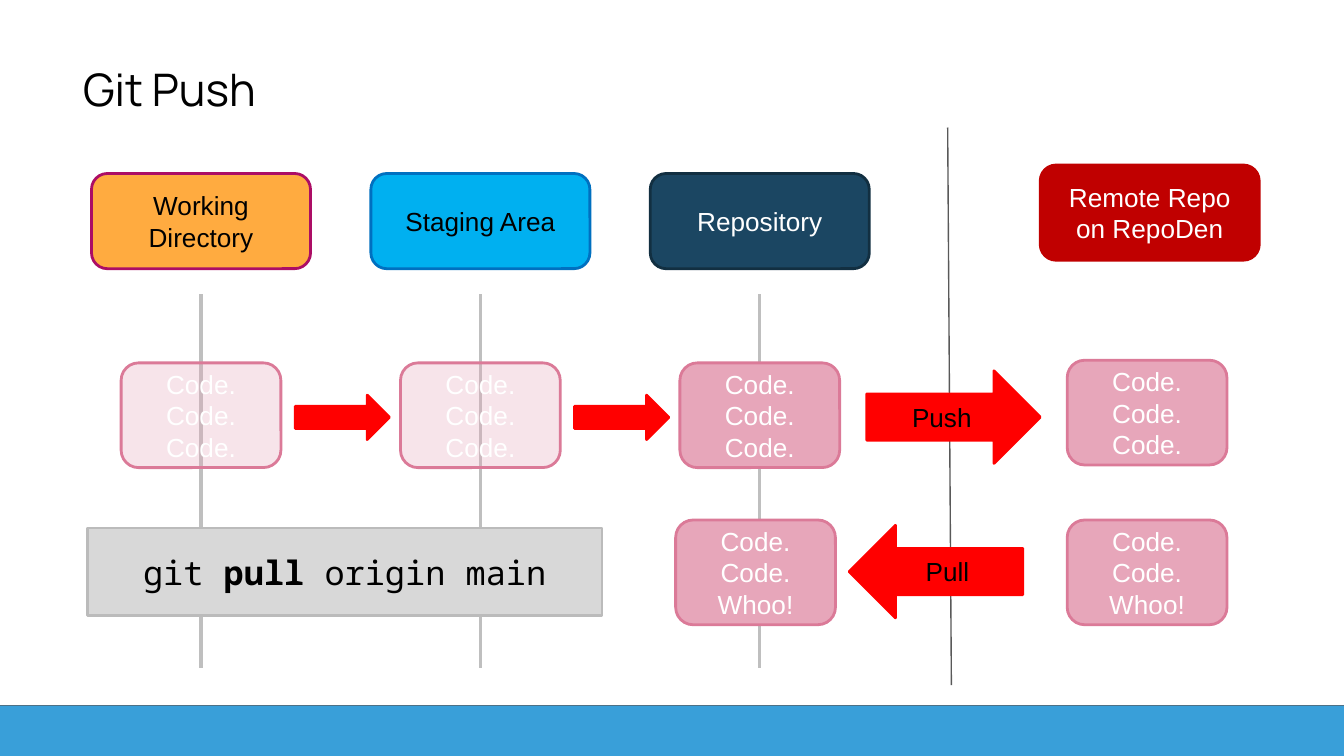
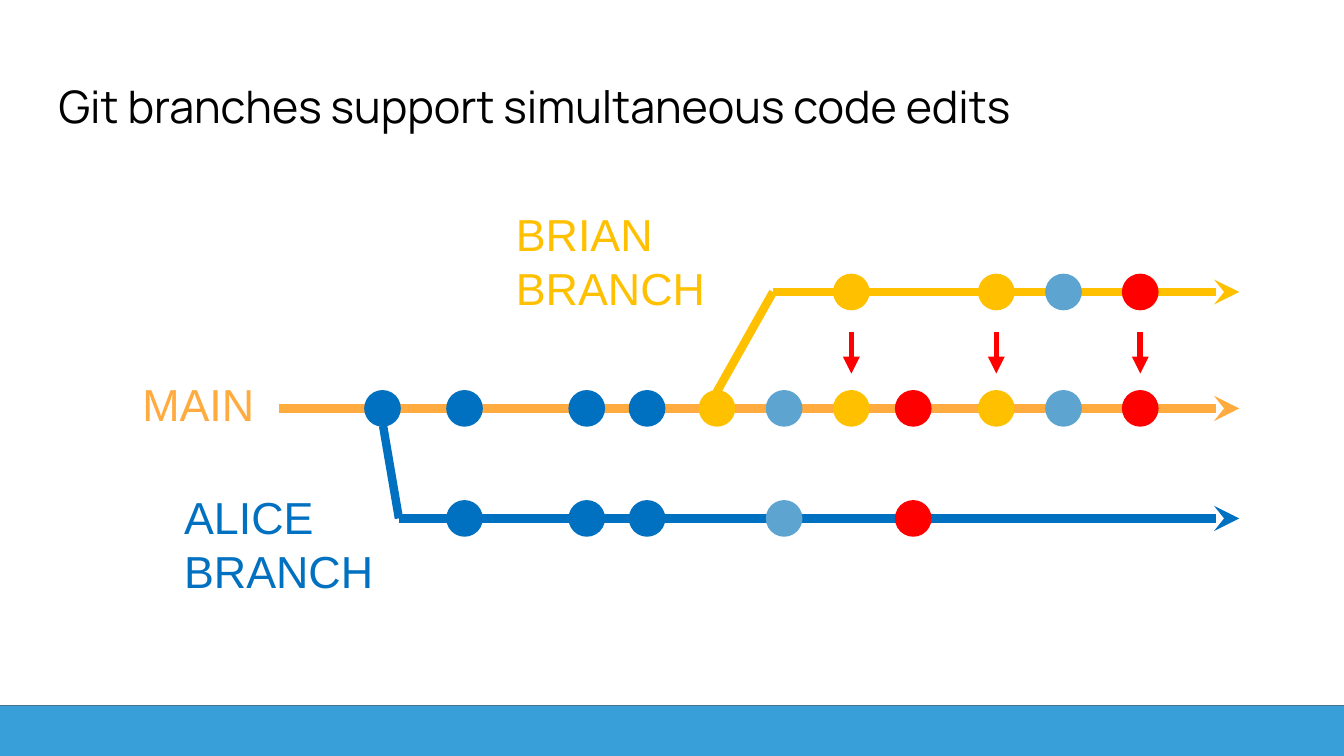
from collections import namedtuple
from itertools import product

from lxml.etree import SubElement
from pptx import Presentation
from pptx.dml.color import RGBColor
from pptx.enum.shapes import MSO_CONNECTOR as CONN, MSO_SHAPE as SHAPE
from pptx.enum.text import MSO_ANCHOR as ANCHOR, PP_ALIGN as ALIGN
from pptx.oxml.ns import qn
from pptx.util import Cm, Pt

Box = namedtuple("Box", "x y w h")  # centimetres

COLORS = {
    "black": "000000", "white": "FFFFFF", "red": "FF0000", "crimson": "C00000",
    "band": "399FD9", "band_base": "EEEEEE", "dark_gray": "595959",
    "rail": "BFBFBF", "command": "D8D8D8", "command_line": "BBBBBB",
    "orange": "FFAB40", "magenta": "AC0D65", "sky": "00B0F0", "blue": "0070C0",
    "navy": "1B4662", "navy_line": "122F41", "pink": "E7A6BA",
    "pink_line": "DB7A98", "yellow": "FFC000", "light_blue": "5EA4D1",
}
TITLE_FONT, BODY_FONT, CODE_FONT = "Manrope", "Arial", "Noto Sans Mono"

STAGE_W, STAGE_H, STAGE_STEP = 4.14, 1.8, 5.28
CODE_W, CODE_H = 3.02, 1.98
DOT = 0.64

STAGES = [
    ("Working Directory", "orange", "magenta", "black"),
    ("Staging Area", "sky", "blue", "black"),
    ("Repository", "navy", "navy_line", "white"),
]
OLD_CODE, NEW_CODE = "Code. Code. Code.", "Code. Code. Whoo!"

# Commits along the time line: x, colour, branches that carry them
COMMITS = [
    (4.79, "blue", ["main"]),
    (6.34, "blue", ["main", "alice"]),
    (8.65, "blue", ["main", "alice"]),
    (9.79, "blue", ["main", "alice"]),
    (11.11, "yellow", ["main"]),
    (12.38, "light_blue", ["main", "alice"]),
    (13.65, "yellow", ["main", "brian"]),
    (14.82, "red", ["main", "alice"]),
    (16.39, "yellow", ["main", "brian"]),
    (17.66, "light_blue", ["main", "brian"]),
    (19.11, "red", ["main", "brian"]),
]
# Branches: row y, start x, colour, label, label box
BRANCHES = {
    "brian": (1.74, 12.17, "yellow", "BRIAN BRANCH", Box(7.06, 0, 4.37, 2.31)),
    "main": (3.94, 2.84, "orange", "MAIN", Box(0, 3.21, 2.82, 1.27)),
    "alice": (6.02, 5.1, "blue", "ALICE BRANCH", Box(0.79, 5.36, 4.37, 2.31)),
}


def rgb(name):
    return RGBColor.from_string(COLORS[name])


def inside(box, x, y, w, h):
    return Box(box.x + x, box.y + y, w, h)


def write(sp, text, size, color, font=BODY_FONT, align=ALIGN.LEFT, bold=None):
    """Fill sp with one paragraph, setting the word given as bold in bold."""
    tf = sp.text_frame
    tf.word_wrap = True
    p = tf.paragraphs[0]
    p.alignment = align
    p.font.name, p.font.size = font, Pt(size)
    p.font.color.rgb = rgb(color)
    if not bold:
        p.add_run().text = text
        return
    before, after = text.split(bold)
    for part in (before, bold, after):
        r = p.add_run()
        r.text = part
        r.font.bold = part == bold


def add_text(s, box, text, color, font=BODY_FONT):
    sp = s.shapes.add_textbox(*map(Cm, box))
    write(sp, text, 24, color, font)
    return sp


def add_shape(s, kind, box, fill, line=None, width=1.5, opacity=100):
    sp = s.shapes.add_shape(kind, *map(Cm, box))
    sp.shadow.inherit = False
    sp.fill.solid()
    sp.fill.fore_color.rgb = rgb(fill)
    if opacity < 100:
        color = sp._element.spPr.find(f"{qn('a:solidFill')}/{qn('a:srgbClr')}")
        SubElement(color, qn("a:alpha"), val=str(opacity * 1000))
    if line:
        sp.line.color.rgb = rgb(line)
        sp.line.width = Pt(width)
    else:
        sp.line.fill.background()
    return sp


def add_block(s, kind, box, text, fill, line, color, opacity=100,
              size=14, font=BODY_FONT, bold=None):
    """Add a shape with centred text."""
    sp = add_shape(s, kind, box, fill, line, opacity=opacity)
    sp.text_frame.vertical_anchor = ANCHOR.MIDDLE
    write(sp, text, size, color, font, ALIGN.CENTER, bold)


def add_line(s, x1, y1, x2, y2, color, width, arrow=None):
    c = s.shapes.add_connector(CONN.STRAIGHT, *map(Cm, (x1, y1, x2, y2)))
    c.line.color.rgb = rgb(color)
    c.line.width = Pt(width)
    spPr = c._element.spPr
    if arrow:
        SubElement(spPr.find(qn("a:ln")), qn("a:tailEnd"), type=arrow)
    SubElement(spPr, qn("a:effectLst"))


def new_slide(prs, title, title_box):
    """Add a blank slide with the shared bottom band and title style."""
    s = prs.slides.add_slide(prs.slide_layouts[6])
    band = Box(0, 13.34, 25.4, 0.95)
    add_shape(s, SHAPE.RECTANGLE, band, "band_base", "dark_gray", 0.75)
    add_shape(s, SHAPE.RECTANGLE, band, "band")
    tf = add_text(s, title_box, title, "black", TITLE_FONT).text_frame
    tf.margin_top = tf.margin_bottom = Cm(0.25)
    return s


def stage(s, box, text, fill, line, color):
    add_block(s, SHAPE.ROUNDED_RECTANGLE, box, text, fill, line, color)


def code(s, cx, y, text, opacity=100):
    """Add a code block centred on cx."""
    add_block(s, SHAPE.ROUNDED_RECTANGLE, Box(cx - CODE_W / 2, y, CODE_W, CODE_H),
              text, "pink", "pink_line", "white", opacity)


def local_side(s, box):
    centers = [box.x + STAGE_W / 2 + i * STAGE_STEP for i in range(len(STAGES))]
    for cx, look in zip(centers, STAGES):
        add_line(s, cx, box.y + 2.28, cx, box.y + box.h, "rail", 1.75)
        stage(s, Box(cx - STAGE_W / 2, box.y, STAGE_W, STAGE_H), *look)
    *passed, repo = centers
    for cx in passed:
        code(s, cx, box.y + 3.58, OLD_CODE, opacity=30)
        add_shape(s, SHAPE.RIGHT_ARROW, Box(cx + 1.78, box.y + 4.19, 1.78, 0.84),
                  "red", "red")
    code(s, repo, box.y + 3.58, OLD_CODE)
    code(s, repo - 0.08, box.y + 6.55, NEW_CODE)
    add_block(s, SHAPE.RECTANGLE, inside(box, -0.08, 6.7, 9.73, 1.65),
              "git pull origin main", "command", "command_line", "black",
              size=18, font=CODE_FONT, bold="pull")


def remote_side(s, box):
    stage(s, inside(box, box.w - STAGE_W, 0.71, STAGE_W, STAGE_H),
          "Remote Repo on RepoDen", "crimson", "crimson", "white")
    add_line(s, box.x + 1.86, box.y, box.x + 1.93, box.y + box.h,
             "dark_gray", 0.75)
    cx = box.x + box.w - STAGE_W / 2 - 0.05
    code(s, cx, box.y + 4.4, OLD_CODE)
    code(s, cx, box.y + 7.42, NEW_CODE)
    for kind, x, y, text in [(SHAPE.RIGHT_ARROW, 0.33, 4.6, "Push"),
                             (SHAPE.LEFT_ARROW, 0, 7.52, "Pull")]:
        add_block(s, kind, inside(box, x, y, 3.28, 1.75), text,
                  "red", "red", "black")


def branch_graph(s, box):
    rows = {name: box.y + row[0] for name, row in BRANCHES.items()}
    for name, (_, start, color, label, label_box) in BRANCHES.items():
        add_text(s, inside(box, *label_box), label, color)
        add_line(s, box.x + start, rows[name], box.x + box.w, rows[name],
                 color, 4.5, "stealth")
    for name, fork_x, gap in [("brian", 11.1, -0.3), ("alice", 4.8, 0.33)]:
        _, start, color, *_ = BRANCHES[name]
        add_line(s, box.x + fork_x, rows["main"] + gap,
                 box.x + start, rows[name], color, 4.5)
    for x, color, names in COMMITS:
        cx = box.x + x
        for name in names:
            add_shape(s, SHAPE.OVAL,
                      Box(cx - DOT / 2, rows[name] - DOT / 2, DOT, DOT),
                      color, color)
        if "brian" in names and color != "light_blue":
            add_line(s, cx, rows["brian"] + 0.75, cx, rows["brian"] + 1.54,
                     "red", 3, "triangle")


def main():
    prs = Presentation()
    prs.slide_width, prs.slide_height = Cm(25.4), Cm(14.29)

    s = new_slide(prs, "Git Push", Box(1.32, 0.91, 18.34, 1.6))
    local_side(s, Box(1.73, 3.28, 14.7, 9.34))
    remote_side(s, Box(16.05, 2.41, 7.75, 10.54))

    s = new_slide(prs, "Git branches support simultaneous code edits",
                  Box(0.86, 1.24, 23.67, 1.6))
    branch_graph(s, Box(2.44, 3.78, 20.98, 7.67))

    prs.save("out.pptx")


if __name__ == "__main__":
    main()
